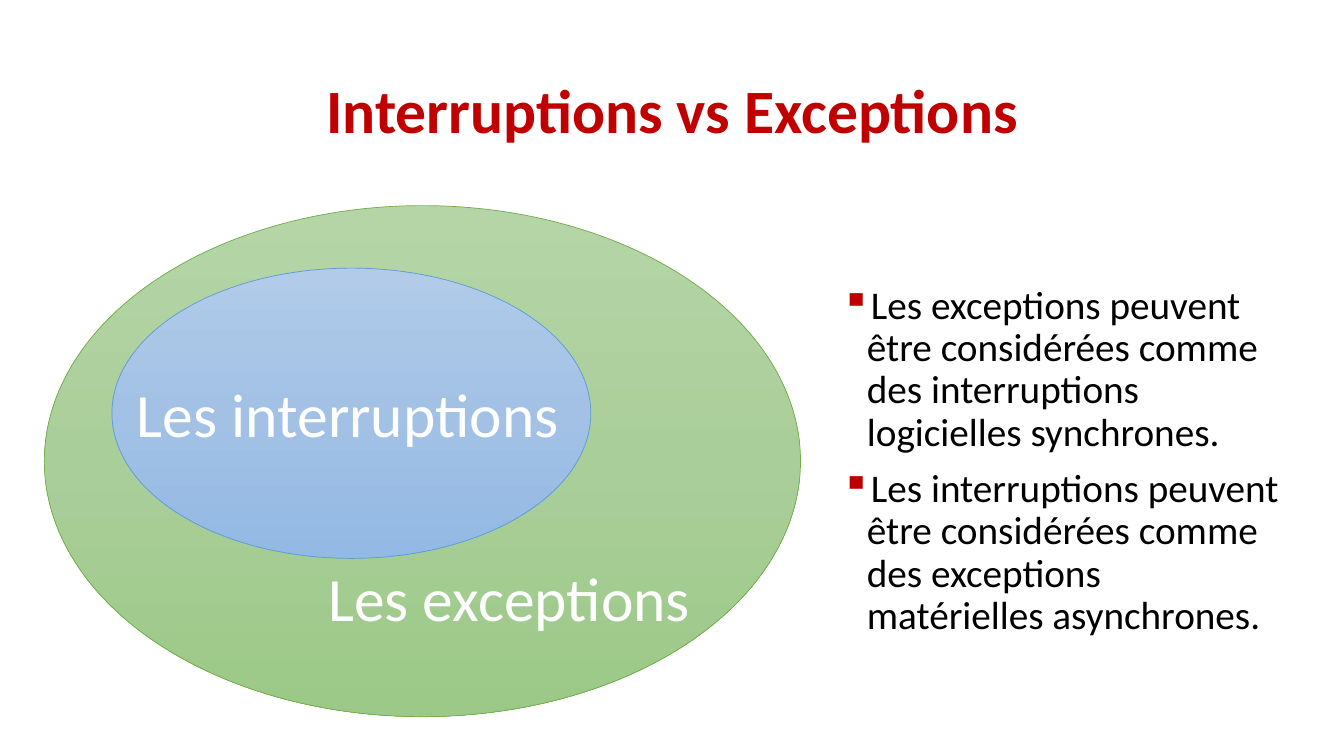
"""Build the slide comparing interrupts with exceptions."""
from copy import deepcopy
from dataclasses import dataclass

from pptx import Presentation
from pptx.dml.color import RGBColor
from pptx.enum.shapes import MSO_SHAPE
from pptx.enum.text import MSO_ANCHOR, MSO_AUTO_SIZE, PP_ALIGN
from pptx.oxml.ns import qn
from pptx.oxml.xmlchemy import OxmlElement
from pptx.shapes.shapetree import GroupShapes, SlideShapes
from pptx.slide import Slide
from pptx.text.text import TextFrame, _Paragraph
from pptx.util import Emu, Pt

PX = 9144
FONT = "Calibri"
RED = RGBColor(0xC0, 0x00, 0x00)
BLACK = RGBColor(0x00, 0x00, 0x00)
WHITE = RGBColor(0xFF, 0xFF, 0xFF)
GREEN_LINE = RGBColor(0x70, 0xAD, 0x47)
GREENS = (RGBColor(0xB5, 0xD5, 0xA7), RGBColor(0xAA, 0xCE, 0x9A), RGBColor(0x9C, 0xC9, 0x87))
BLUE_LINE = RGBColor(0x5B, 0x9B, 0xD5)
BLUES = (RGBColor(0xB1, 0xCB, 0xE9), RGBColor(0xA3, 0xC1, 0xE5), RGBColor(0x93, 0xB9, 0xE4))


@dataclass(frozen=True)
class Box:
    """A rectangle in px."""
    x: int
    y: int
    w: int
    h: int

    def emu(self) -> tuple[Emu, Emu, Emu, Emu]:
        """Return left, top, width and height in EMU."""
        return Emu(self.x * PX), Emu(self.y * PX), Emu(self.w * PX), Emu(self.h * PX)


@dataclass(frozen=True)
class Oval:
    """An ellipse with a vertical three-colour gradient."""
    box: Box
    line: RGBColor
    stops: tuple[RGBColor, RGBColor, RGBColor]


@dataclass(frozen=True)
class Label:
    """A one-line caption inside an ellipse."""
    box: Box
    text: str


TITLE = Label(Box(92, 40, 1150, 145), "Interruptions vs Exceptions")
OVALS = (
    Oval(Box(44, 204, 750, 507), GREEN_LINE, GREENS),
    Oval(Box(111, 266, 475, 288), BLUE_LINE, BLUES),
)
LABELS = (
    Label(Box(316, 551, 383, 84), "Les exceptions"),
    Label(Box(126, 368, 444, 84), "Les interruptions"),
)
BULLETS_BOX = Box(825, 278, 454, 418)
BULLETS = (
    "Les exceptions peuvent être considérées comme des interruptions logicielles synchrones.",
    "Les interruptions peuvent être considérées comme des exceptions matérielles asynchrones.",
)


def add_run(p: _Paragraph, text: str, size: int, color: RGBColor, bold: bool = False) -> None:
    """Add one formatted run."""
    r = p.add_run()
    r.text = text
    r.font.name = FONT
    r.font.size = Pt(size)
    r.font.bold = bold
    r.font.color.rgb = color


def add_text(shapes: SlideShapes | GroupShapes, box: Box, wrap: bool = True) -> TextFrame:
    """Add an empty text box."""
    tf = shapes.add_textbox(*box.emu()).text_frame
    tf.word_wrap = wrap
    return tf


def add_oval(shapes: GroupShapes, oval: Oval) -> None:
    """Draw one gradient ellipse."""
    sp = shapes.add_shape(MSO_SHAPE.OVAL, *oval.box.emu())
    sp.shadow.inherit = False
    sp.line.color.rgb = oval.line
    sp.line.width = Pt(0.5)
    sp.fill.gradient()
    sp.fill.gradient_angle = 270
    first = next(sp._element.spPr.iter(qn("a:gs")))
    first.addnext(deepcopy(first))
    for i, (stop, color) in enumerate(zip(sp.fill.gradient_stops, oval.stops)):
        stop.position = i / 2
        stop.color.rgb = color


def add_label(shapes: GroupShapes, label: Label) -> None:
    """Write one caption."""
    tf = add_text(shapes, label.box, wrap=False)
    tf.auto_size = MSO_AUTO_SIZE.SHAPE_TO_FIT_TEXT
    add_run(tf.paragraphs[0], label.text, 44, WHITE)


def set_bullet(p: _Paragraph) -> None:
    """Give a paragraph a red square bullet and a hanging indent."""
    pPr = p._p.get_or_add_pPr()
    pPr.set("marL", str(25 * PX))
    pPr.set("indent", str(-25 * PX))
    color = OxmlElement("a:buClr")
    rgb = OxmlElement("a:srgbClr")
    rgb.set("val", str(RED))
    color.append(rgb)
    char = OxmlElement("a:buChar")
    char.set("char", "▪")
    pPr.extend((color, char))


def add_title(s: Slide) -> None:
    """Write the centred title."""
    tf = add_text(s.shapes, TITLE.box)
    tf.vertical_anchor = MSO_ANCHOR.MIDDLE
    p = tf.paragraphs[0]
    p.alignment = PP_ALIGN.CENTER
    p.line_spacing = 0.9
    add_run(p, TITLE.text, 44, RED, bold=True)


def add_bullets(s: Slide) -> None:
    """Write the bullet list."""
    tf = add_text(s.shapes, BULLETS_BOX)
    for i, text in enumerate(BULLETS):
        p = tf.add_paragraph() if i else tf.paragraphs[0]
        p.line_spacing = 0.9
        p.space_before = Pt(10 if i else 0)
        set_bullet(p)
        add_run(p, text, 28, BLACK)


def main() -> None:
    """Build and save the slide."""
    prs = Presentation()
    prs.slide_width, prs.slide_height = Emu(1333 * PX), Emu(750 * PX)
    s = prs.slides.add_slide(prs.slide_layouts[6])
    add_title(s)
    diagram = s.shapes.add_group_shape().shapes
    for oval in OVALS:
        add_oval(diagram, oval)
    for label in LABELS:
        add_label(diagram, label)
    add_bullets(s)
    prs.save("out.pptx")


if __name__ == "__main__":
    main()
